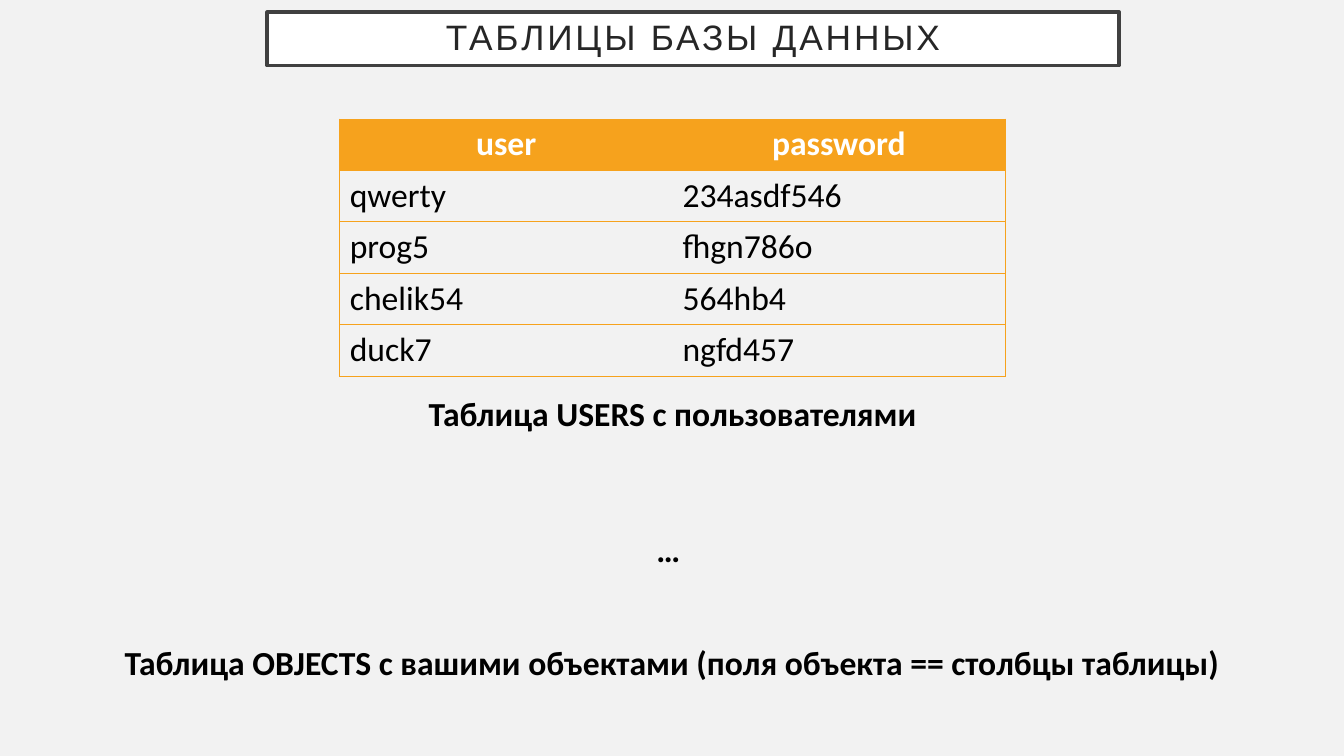
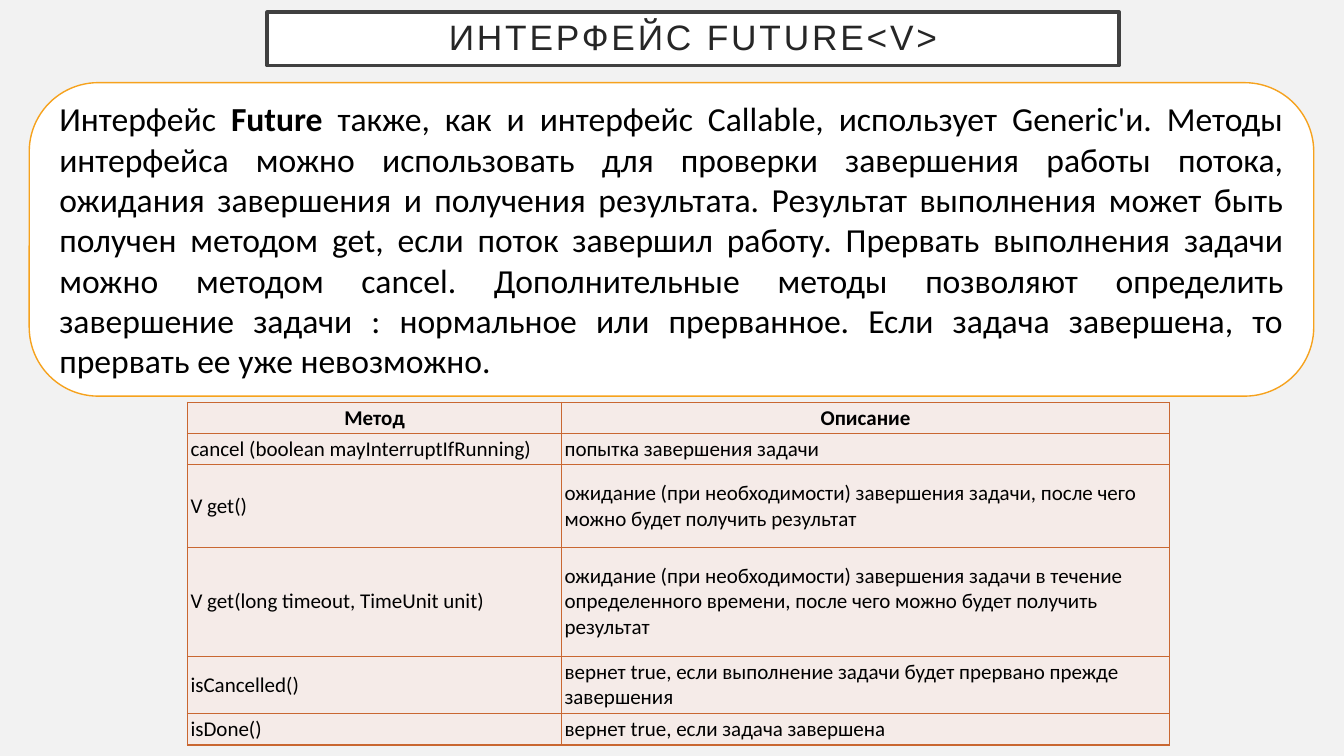
"""Builds two slides on database tables and the Future interface."""
from dataclasses import dataclass

from lxml import etree
from pptx import Presentation
from pptx import util as u
from pptx.dml.color import RGBColor
from pptx.enum import shapes, text
from pptx.oxml.ns import qn

PAPER = RGBColor(0xF2, 0xF2, 0xF2)
WHITE = RGBColor(0xFF, 0xFF, 0xFF)
BLACK = RGBColor(0, 0, 0)
FRAME = RGBColor(0x40, 0x40, 0x40)
INK = RGBColor(0x26, 0x26, 0x26)
GOLD = RGBColor(0xF6, 0xA2, 0x1D)
RUST = RGBColor(0xC9, 0x67, 0x31)
BLUSH = RGBColor(0xF5, 0xEB, 0xE8)

MID = text.MSO_ANCHOR.MIDDLE
TOP = text.MSO_ANCHOR.TOP
LEFT = text.PP_ALIGN.LEFT
CENTER = text.PP_ALIGN.CENTER


@dataclass(frozen=True)
class Box:
    left: float
    top: float
    width: float
    height: float

    def place(self) -> tuple:
        return tuple(map(u.Inches, (self.left, self.top, self.width, self.height)))


@dataclass(frozen=True)
class Label:
    box: Box
    words: str


@dataclass(frozen=True)
class Look:
    size: float
    line: RGBColor
    weight: float
    head: RGBColor
    title: RGBColor
    body: RGBColor | None
    inset: tuple[float, float]
    anchor: text.MSO_ANCHOR
    inner: bool


@dataclass(frozen=True)
class Grid:
    left: float
    top: float
    cols: tuple[float, ...]
    rows: tuple[float, ...]
    cells: tuple[tuple[str, ...], ...]
    look: Look


PLAIN = Look(24, GOLD, 0.5, GOLD, WHITE, None, (0.1, 0.05), TOP, False)
TINTED = Look(15, RUST, 1, BLUSH, BLACK, BLUSH, (0.03, 0.03), MID, True)

USERS = Grid(3.37, 1.18, (3.3, 3.3), (0.51,) * 5, (
    ("user", "password"),
    ("qwerty", "234asdf546"),
    ("prog5", "fhgn786o"),
    ("chelik54", "564hb4"),
    ("duck7", "ngfd457"),
), PLAIN)

METHODS = Grid(1.86, 3.99, (3.71, 6.03), (0.31, 0.31, 0.82, 1.08, 0.57, 0.31), (
    ("Метод", "Описание"),
    ("cancel (boolean mayInterruptIfRunning)", "попытка завершения задачи"),
    ("V get()", "ожидание (при необходимости) завершения задачи, после чего "
     "можно будет получить результат"),
    ("V get(long timeout, TimeUnit unit)",
     "ожидание (при необходимости) завершения задачи в течение "
     "определенного времени, после чего можно будет получить результат"),
    ("isCancelled()", "вернет true, если выполнение задачи будет прервано "
     "прежде завершения"),
    ("isDone()", "вернет true, если задача завершена"),
), TINTED)

LABELS = (
    Label(Box(3.96, 3.85, 5.42, 0.5), "Таблица USERS с пользователями"),
    Label(Box(6.38, 5.2, 0.5, 0.5), "…"),
    Label(Box(0.83, 6.32, 11.67, 0.5),
          "Таблица OBJECTS с вашими объектами (поля объекта == столбцы таблицы)"),
)

INTRO = (
    ("Интерфейс ", False),
    ("Future", True),
    (" также, как и интерфейс Callable, использует Generic'и. Методы "
     "интерфейса можно использовать для проверки завершения работы потока, "
     "ожидания завершения и получения результата. Результат выполнения может "
     "быть получен методом get, если поток завершил работу. Прервать выполнения "
     "задачи можно методом cancel. Дополнительные методы позволяют определить "
     "завершение задачи : нормальное или прерванное. Если задача завершена, то "
     "прервать ее уже невозможно.", False),
)


def style(para, size: float, color: RGBColor, bold: bool | None = None,
          align=CENTER, face: str = "Calibri") -> None:
    para.alignment = align
    font = para.font
    font.name, font.size, font.bold = face, u.Pt(size), bold
    font.color.rgb = color


def panel(slide, kind, box: Box, line: RGBColor, weight: float):
    shape = slide.shapes.add_shape(kind, *box.place())
    shape.shadow.inherit = False
    shape.fill.solid()
    shape.fill.fore_color.rgb = WHITE
    shape.line.color.rgb = line
    shape.line.width = u.Pt(weight)
    frame = shape.text_frame
    frame.word_wrap = True
    frame.vertical_anchor = MID
    return shape


def start(deck, title: str):
    slide = deck.slides.add_slide(deck.slide_layouts[6])
    slide.background.fill.solid()
    slide.background.fill.fore_color.rgb = PAPER
    frame = panel(slide, shapes.MSO_SHAPE.RECTANGLE,
                  Box(2.65, 0.12, 8.45, 0.53), FRAME, 2.5).text_frame
    frame.margin_left = frame.margin_right = u.Inches(0.2)
    frame.margin_top = frame.margin_bottom = u.Inches(0.2)
    para = frame.paragraphs[0]
    run = para.add_run()
    run.text = title
    para.line_spacing = 0.9
    style(para, 25.2, INK, face="Arial")
    run.font._element.set("spc", "200")
    return slide


def border(cell, sides: dict[str, bool], look: Look) -> None:
    props = cell._tc.get_or_add_tcPr()
    for spot, (side, shown) in enumerate(sides.items()):
        line = etree.Element(qn(f"a:ln{side}"), w=str(int(u.Pt(look.weight))))
        if shown:
            fill = etree.SubElement(line, qn("a:solidFill"))
            etree.SubElement(fill, qn("a:srgbClr"), val=str(look.line))
        else:
            etree.SubElement(line, qn("a:noFill"))
        props.insert(spot, line)


def paint(cell, words: str, head: bool, look: Look) -> None:
    cell.text = words
    style(cell.text_frame.paragraphs[0], look.size,
          look.title if head else BLACK, head, CENTER if head else LEFT)
    cell.vertical_anchor = look.anchor
    across, down = map(u.Inches, look.inset)
    cell.margin_left = cell.margin_right = across
    cell.margin_top = cell.margin_bottom = down
    color = look.head if head else look.body
    if color is None:
        cell.fill.background()
    else:
        cell.fill.solid()
        cell.fill.fore_color.rgb = color


def table(slide, grid: Grid) -> None:
    look = grid.look
    box = Box(grid.left, grid.top, sum(grid.cols), sum(grid.rows))
    body = slide.shapes.add_table(
        len(grid.rows), len(grid.cols), *box.place()).table
    body.horz_banding = False
    body.first_row = look.head != look.body
    for col, width in zip(body.columns, grid.cols):
        col.width = u.Inches(width)
    for row, height in zip(body.rows, grid.rows):
        row.height = u.Inches(height)
    last = len(grid.cols) - 1
    for i, row in enumerate(grid.cells):
        for j, words in enumerate(row):
            cell = body.cell(i, j)
            paint(cell, words, i == 0, look)
            border(cell, {"L": look.inner or j == 0,
                          "R": look.inner or j == last,
                          "T": True, "B": True}, look)


def label(slide, item: Label) -> None:
    frame = slide.shapes.add_textbox(*item.box.place()).text_frame
    frame.word_wrap = False
    frame.auto_size = text.MSO_AUTO_SIZE.SHAPE_TO_FIT_TEXT
    para = frame.paragraphs[0]
    para.text = item.words
    style(para, 24, BLACK, True)


def intro(slide) -> None:
    shape = panel(slide, shapes.MSO_SHAPE.ROUNDED_RECTANGLE,
                  Box(0.29, 0.82, 12.74, 3.11), GOLD, 1)
    shape.adjustments[0] = 0.22
    para = shape.text_frame.paragraphs[0]
    for words, bold in INTRO:
        run = para.add_run()
        run.text = words
        run.font.bold = bold
    style(para, 24, BLACK, align=text.PP_ALIGN.JUSTIFY)


def main() -> None:
    deck = Presentation()
    deck.slide_width, deck.slide_height = u.Inches(13.33), u.Inches(7.5)
    slide = start(deck, "ТАБЛИЦЫ БАЗЫ ДАННЫХ")
    table(slide, USERS)
    for item in LABELS:
        label(slide, item)
    slide = start(deck, "ИНТЕРФЕЙС FUTURE<V>")
    intro(slide)
    table(slide, METHODS)
    deck.save("out.pptx")


if __name__ == "__main__":
    main()
